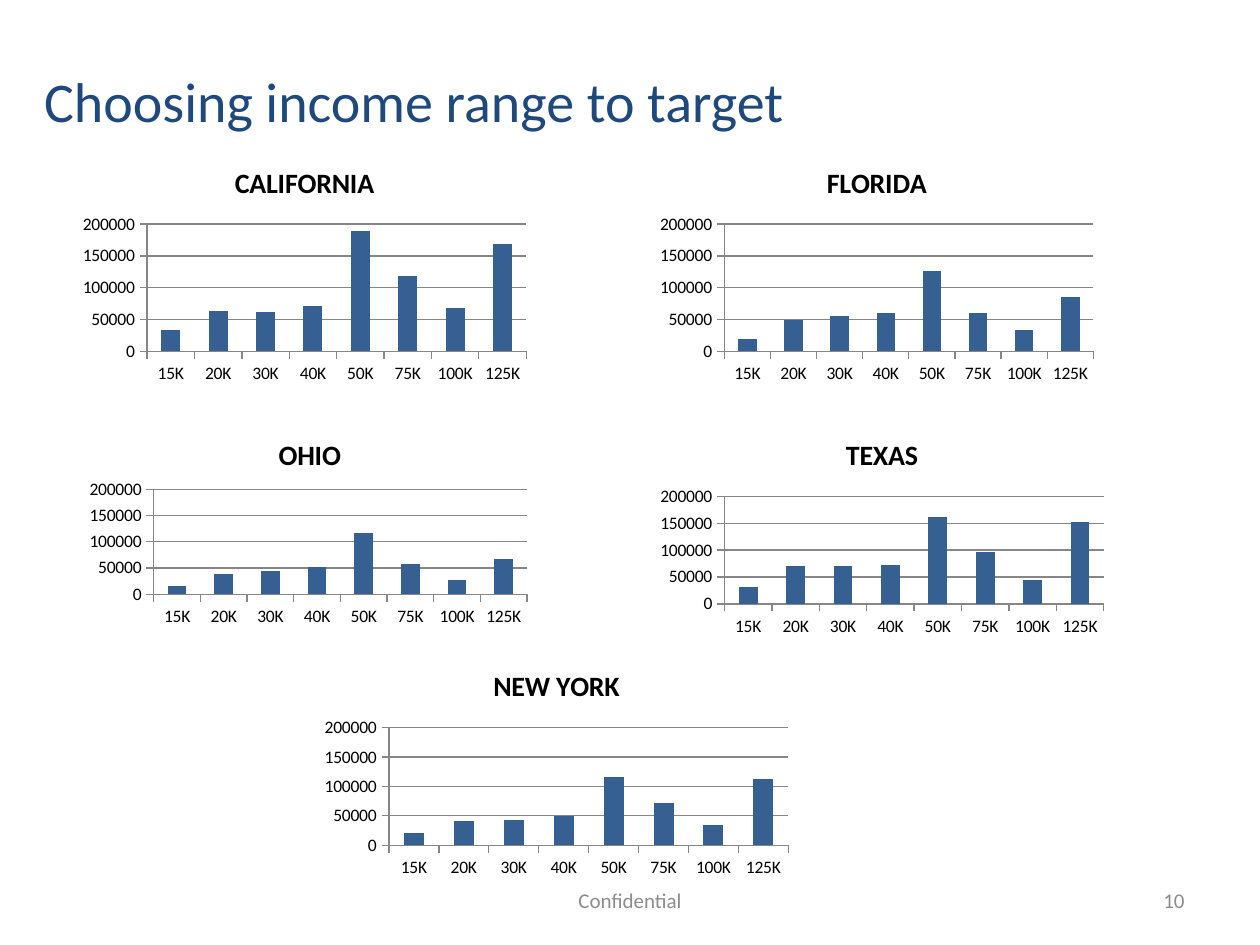
from lxml import etree
from pptx import Presentation
from pptx.chart.data import CategoryChartData
from pptx.dml.color import RGBColor
from pptx.enum.chart import XL_CHART_TYPE, XL_TICK_MARK
from pptx.enum.text import MSO_ANCHOR, MSO_AUTO_SIZE, PP_ALIGN
from pptx.oxml.ns import qn
from pptx.util import Emu, Pt

COLUMNS = XL_CHART_TYPE.COLUMN_CLUSTERED
TICK_OUT, TICK_NONE = XL_TICK_MARK.OUTSIDE, XL_TICK_MARK.NONE
MIDDLE = MSO_ANCHOR.MIDDLE
NO_FIT = MSO_AUTO_SIZE.NONE
LEFT, CENTER, RIGHT = PP_ALIGN.LEFT, PP_ALIGN.CENTER, PP_ALIGN.RIGHT

NAVY = RGBColor(0x1F, 0x49, 0x7D)
BAR_BLUE = RGBColor(0x37, 0x60, 0x92)
FOOTER_GRAY = RGBColor(0x8C, 0x8C, 0x8C)
AXIS_GRAY = RGBColor(0x86, 0x86, 0x86)
BLACK = RGBColor(0, 0, 0)

EMU_PER_PX = 9525  # 96 px to the inch
SLIDE_W, SLIDE_H = 960, 720
INCOMES = ["15K", "20K", "30K", "40K", "50K", "75K", "100K", "125K"]

# State, box in px, households per income band in thousands
STATES = [
    ("CALIFORNIA", (56, 112, 352, 184), [34, 64, 62, 71, 189, 119, 68, 169]),
    ("FLORIDA", (496, 112, 344, 184), [20, 50, 55, 60, 126, 60, 33, 86]),
    ("OHIO", (56, 320, 360, 160), [15, 38, 45, 52, 117, 58, 26, 67]),
    ("TEXAS", (496, 320, 352, 168), [32, 70, 71, 72, 161, 96, 45, 153]),
    ("NEW YORK", (240, 496, 368, 176), [21, 41, 42, 49, 116, 72, 34, 113]),
]
PLOT_AREAS = {"OHIO": {"x": 0.17, "y": 0.33, "w": 0.79, "h": 0.5}}


def px(length):
    return Emu(length * EMU_PER_PX)


def apply(target, values):
    for name, value in values.items():
        setattr(target, name, value)


class SlideBuilder:
    font_name = "Calibri"

    def __init__(self, slide):
        self.slide = slide

    def style_font(self, font, size, color, bold=False):
        apply(font, {"name": self.font_name, "size": Pt(size), "bold": bold})
        font.color.rgb = color

    def fill_text(self, holder, text, size, color, align):
        frame = holder.text_frame
        apply(frame, {"text": text, "word_wrap": True, "auto_size": NO_FIT,
                      "vertical_anchor": MIDDLE})
        paragraph = frame.paragraphs[0]
        paragraph.alignment = align
        self.style_font(paragraph.runs[0].font, size, color)

    def title(self, text, box):
        heading = self.slide.shapes.title
        apply(heading, dict(zip(("left", "top", "width", "height"), map(px, box))))
        self.fill_text(heading, text, 32, NAVY, LEFT)

    def footer(self, text, box, align):
        note = self.slide.shapes.add_textbox(*map(px, box))
        self.fill_text(note, text, 12, FOOTER_GRAY, align)

    def column_chart(self, state, box, thousands):
        data = CategoryChartData()
        data.categories = INCOMES
        data.add_series("Series 1", [n * 1000 for n in thousands])
        chart = self.slide.shapes.add_chart(COLUMNS, *map(px, box), data).chart
        chart.has_legend = False
        self.style_font(chart.font, 10, BLACK)

        # State name above the columns
        chart.has_title = True
        chart.chart_title.include_in_layout = False
        heading = chart.chart_title.text_frame
        heading.text = state
        self.style_font(heading.paragraphs[0].runs[0].font, 16, BLACK, bold=True)

        # Columns
        plot = chart.plots[0]
        apply(plot, {"gap_width": 150, "vary_by_categories": False})
        fill = plot.series[0].format.fill
        fill.solid()
        fill.fore_color.rgb = BAR_BLUE

        # Axes share one scale across all states
        incomes, households = chart.category_axis, chart.value_axis
        apply(households, {"minimum_scale": 0, "maximum_scale": 200000,
                           "major_unit": 50000, "has_major_gridlines": True})
        for axis in (incomes, households):
            apply(axis, {"major_tick_mark": TICK_OUT, "minor_tick_mark": TICK_NONE})
        for ruled in (incomes, households, households.major_gridlines):
            ruled.format.line.color.rgb = AXIS_GRAY
            ruled.format.line.width = Pt(0.75)

        if state in PLOT_AREAS:
            self.place_plot(chart, PLOT_AREAS[state])

    def place_plot(self, chart, area):
        plot_area = chart.plots[0]._element.getparent()
        for automatic in plot_area.findall(qn("c:layout")):
            plot_area.remove(automatic)
        layout = etree.Element(qn("c:layout"))
        manual = etree.SubElement(layout, qn("c:manualLayout"))
        settings = {"layoutTarget": "inner", "xMode": "edge", "yMode": "edge", **area}
        for tag, value in settings.items():
            etree.SubElement(manual, qn("c:" + tag)).set("val", str(value))
        plot_area.insert(0, layout)


def main():
    deck = Presentation()
    apply(deck, {"slide_width": px(SLIDE_W), "slide_height": px(SLIDE_H)})
    builder = SlideBuilder(deck.slides.add_slide(deck.slide_layouts[5]))

    builder.title("Choosing income range to target", (24, 16, 864, 120))

    # Footer line
    builder.footer("Confidential", (328, 667, 304, 38), CENTER)
    builder.footer("10", (688, 667, 224, 38), RIGHT)

    # One chart per state
    for state, box, thousands in STATES:
        builder.column_chart(state, box, thousands)

    deck.save("out.pptx")


if __name__ == "__main__":
    main()
